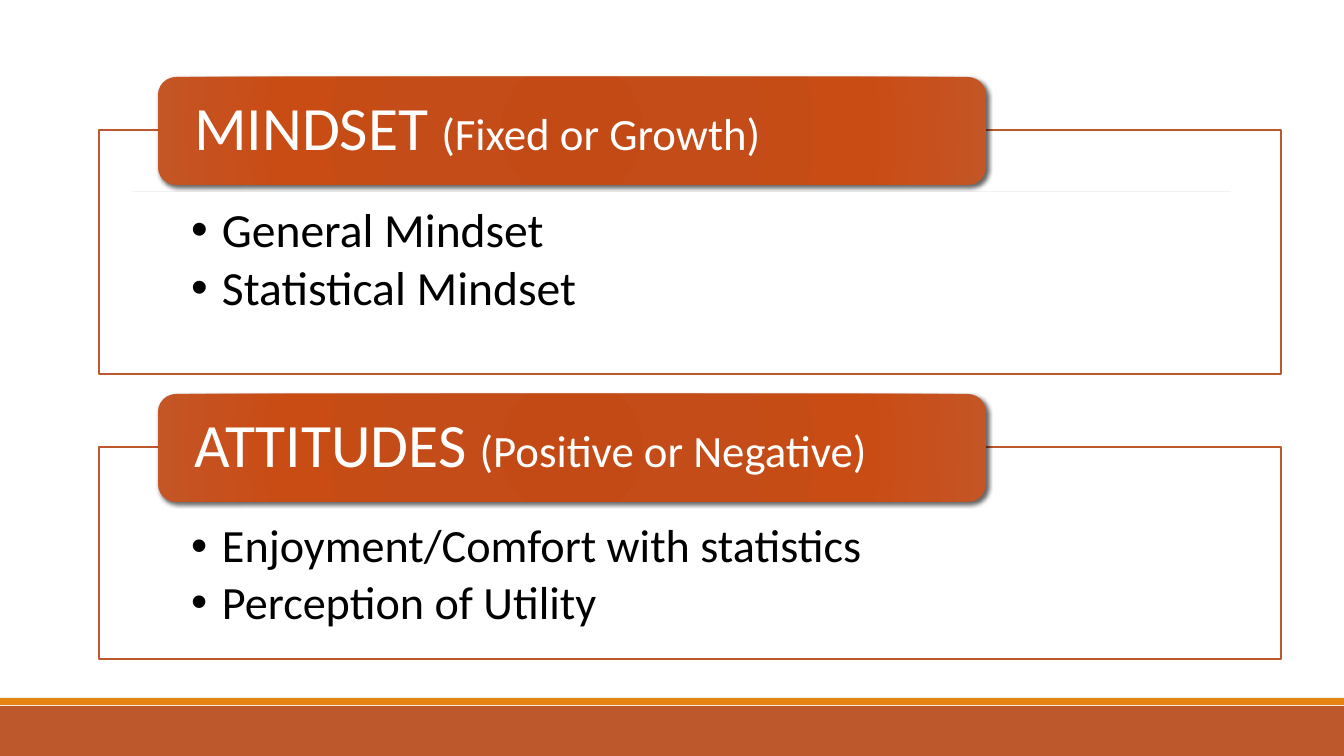
import pptx
import pptx.dml.color
import pptx.enum.shapes
import pptx.enum.text
import pptx.oxml
import pptx.oxml.ns
import pptx.util

EMU_PER_PX = 914400 / 100.8
SLIDE_W, SLIDE_H = 1344, 756
RECT = pptx.enum.shapes.MSO_SHAPE.RECTANGLE
ROUNDED = pptx.enum.shapes.MSO_SHAPE.ROUNDED_RECTANGLE
ANCHOR = pptx.enum.text.MSO_ANCHOR
RUST, AMBER, WHITE, BLACK, GRAY = "BD582C", "E48312", "FFFFFF", "000000", "808080"
HEADER_STOPS = [(0, "C44A15"), (34, "C34C18"), (70, "C94C15"), (100, "C45525")]
PANEL_X, PANEL_W = 99, 1182
HEADER_X, HEADER_W, HEADER_H, HEADER_RISE = 158, 828, 108, 53
SECTIONS = [
    (130, 244, "MINDSET", "(Fixed or Growth)", 34,
     ["General Mindset", "Statistical Mindset"]),
    (447, 212, "ATTITUDES", "(Positive or Negative)", 33,
     ["Enjoyment/Comfort with statistics", "Perception of Utility"]),
]


def px(length):
    return pptx.util.Emu(round(length * EMU_PER_PX))


def rgb(value):
    return pptx.dml.color.RGBColor.from_string(value)


def xml(tag, content="", **attributes):
    """Build a DrawingML element from its tag, inner XML and attributes."""
    listed = "".join(f' {key}="{value}"' for key, value in attributes.items())
    namespace = pptx.oxml.ns.nsdecls("a")
    return pptx.oxml.parse_xml(f"<a:{tag} {namespace}{listed}>{content}</a:{tag}>")


def add_box(slide, preset, x, y, width, height, fill):
    box = slide.shapes.add_shape(preset, px(x), px(y), px(width), px(height))
    box.shadow.inherit = False
    box.fill.solid()
    box.fill.fore_color.rgb = rgb(fill)
    box.line.fill.background()
    return box


def format_frame(frame, anchor, left, top, right, bottom):
    settings = {
        "word_wrap": True, "vertical_anchor": anchor,
        "margin_left": px(left), "margin_top": px(top),
        "margin_right": px(right), "margin_bottom": px(bottom),
    }
    for name, value in settings.items():
        setattr(frame, name, value)


def format_paragraph(paragraph, space_after=0):
    settings = {
        "alignment": pptx.enum.text.PP_ALIGN.LEFT,
        "line_spacing": 0.9,
        "space_after": pptx.util.Pt(space_after),
    }
    for name, value in settings.items():
        setattr(paragraph, name, value)


def add_run(paragraph, text, size, color):
    run = paragraph.add_run()
    settings = {"name": "Calibri", "size": pptx.util.Pt(size)}
    for name, value in settings.items():
        setattr(run.font, name, value)
    run.font.color.rgb = rgb(color)
    run.text = text


def add_bullet(paragraph, indent):
    properties = paragraph._p.get_or_add_pPr()
    properties.set("marL", str(px(indent)))
    properties.set("indent", str(px(-indent)))
    properties.append(xml("buFont", typeface="Arial"))
    properties.append(xml("buChar", char="•"))


def add_panel(slide, y, height, size, points):
    panel = add_box(slide, RECT, PANEL_X, y, PANEL_W, height, WHITE)
    fill_color = panel._element.spPr.find(".//" + pptx.oxml.ns.qn("a:srgbClr"))
    fill_color.append(xml("alpha", val=90000))
    panel.line.color.rgb = rgb(RUST)
    panel.line.width = pptx.util.Pt(1)
    frame = panel.text_frame
    format_frame(frame, ANCHOR.TOP, 92, 76, 92, 26)
    for index, point in enumerate(points):
        paragraph = frame.add_paragraph() if index else frame.paragraphs[0]
        format_paragraph(paragraph, space_after=round(size * 0.15))
        add_bullet(paragraph, 31)
        add_run(paragraph, point, size, BLACK)


def apply_radial_gradient(shape, stops):
    shape.fill.gradient()
    gradient = shape._element.spPr.find(pptx.oxml.ns.qn("a:gradFill"))
    for child in list(gradient):
        gradient.remove(child)
    gradient.append(xml("gsLst", "".join(
        f'<a:gs pos="{position * 1000}"><a:srgbClr val="{color}"/></a:gs>'
        for position, color in stops)))
    gradient.append(xml(
        "path", '<a:fillToRect l="100000" t="100000" r="100000" b="100000"/>',
        path="circle"))


def apply_drop_shadow(shape):
    effects = shape._element.spPr.find(pptx.oxml.ns.qn("a:effectLst"))
    effects.append(xml(
        "outerShdw",
        f'<a:srgbClr val="{BLACK}"><a:alpha val="60000"/></a:srgbClr>',
        blurRad=pptx.util.Pt(3), dist=pptx.util.Pt(2), dir=45 * 60000,
        algn="ctr", rotWithShape=0))


def add_header(slide, y, topic, detail):
    header = add_box(slide, ROUNDED, HEADER_X, y, HEADER_W, HEADER_H, RUST)
    apply_radial_gradient(header, HEADER_STOPS)
    apply_drop_shadow(header)
    format_frame(header.text_frame, ANCHOR.MIDDLE, 31, 0, 31, 0)
    title = header.text_frame.paragraphs[0]
    format_paragraph(title)
    for text, size in [(topic, 44), (" ", 40), (detail, 32)]:
        add_run(title, text, size, WHITE)


def add_rule(slide, x1, x2, y):
    rule = slide.shapes.add_connector(
        pptx.enum.shapes.MSO_CONNECTOR.STRAIGHT, px(x1), px(y), px(x2), px(y))
    rule.line.color.rgb = rgb(GRAY)
    rule.line.width = pptx.util.Pt(0.5)
    rule._element.spPr.append(xml("effectLst"))


def main():
    deck = pptx.Presentation()
    deck.slide_width, deck.slide_height = px(SLIDE_W), px(SLIDE_H)
    slide = deck.slides.add_slide(deck.slide_layouts[6])
    add_rule(slide, 132, 1231, 191)
    add_box(slide, RECT, 0, 706, SLIDE_W, 50, RUST)
    add_box(slide, RECT, 0, 698, SLIDE_W, 7, AMBER)
    for y, height, topic, detail, size, points in SECTIONS:
        add_panel(slide, y, height, size, points)
        add_header(slide, y - HEADER_RISE, topic, detail)
    deck.save("out.pptx")


if __name__ == "__main__":
    main()
